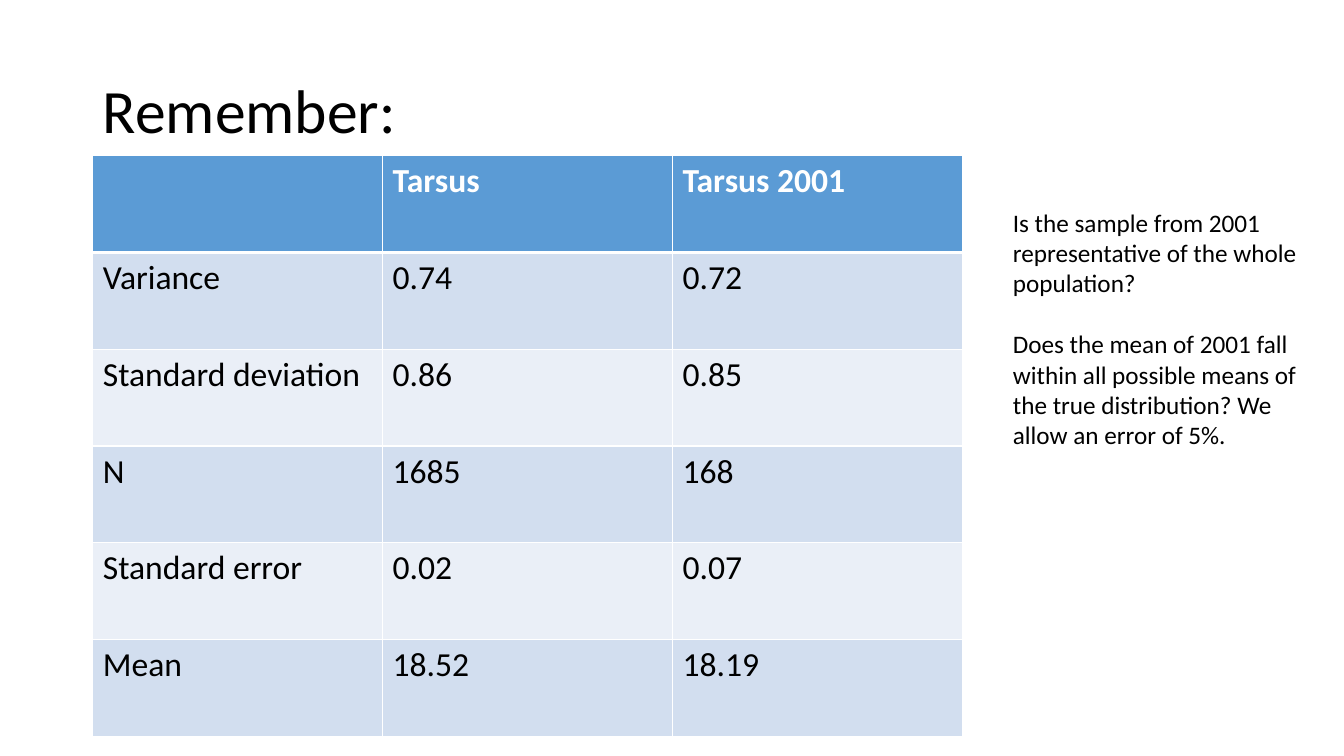
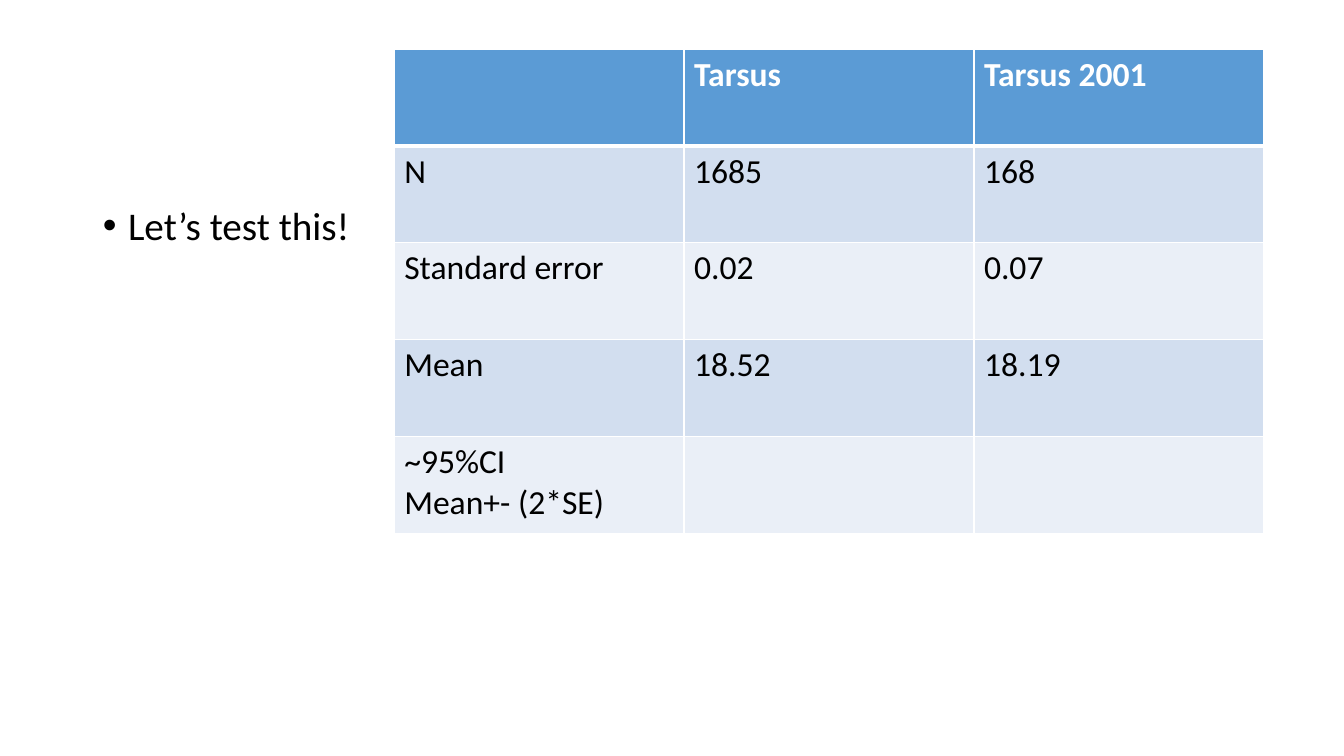
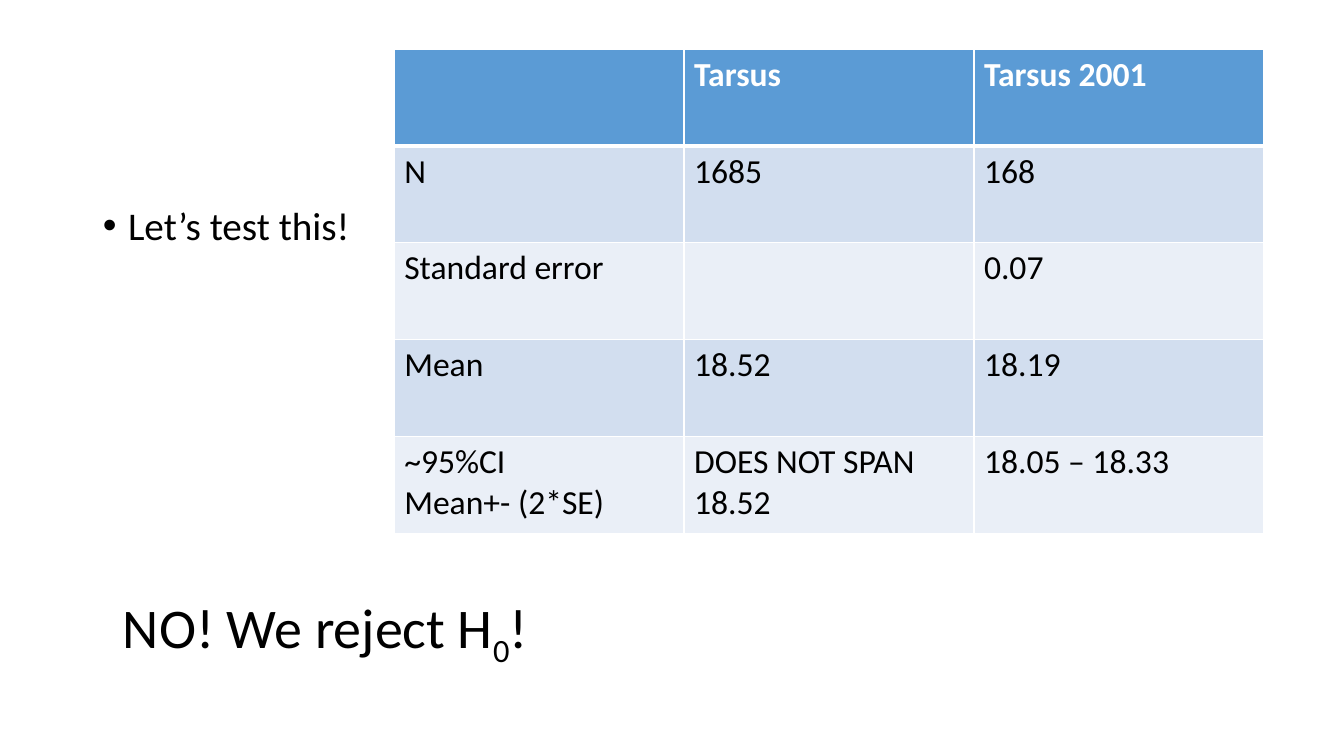
from pptx import Presentation
from pptx.dml.color import RGBColor
from pptx.enum.text import MSO_ANCHOR, MSO_AUTO_SIZE, PP_ALIGN
from pptx.oxml.ns import qn
from pptx.util import Inches, Pt
from lxml import etree

MIDDLE, TOP = MSO_ANCHOR.MIDDLE, MSO_ANCHOR.TOP
NO_FIT = MSO_AUTO_SIZE.NONE
LEFT = PP_ALIGN.LEFT

BLACK = RGBColor(0x00, 0x00, 0x00)
WHITE = RGBColor(0xFF, 0xFF, 0xFF)
BLUE = RGBColor(0x5B, 0x9B, 0xD5)
BANDS = RGBColor(0xEA, 0xEF, 0xF7), RGBColor(0xD2, 0xDE, 0xEF)
FONT = "Calibri"

# Four columns start at the margin; rows start at the top edge.
MARGIN, COL, ROW = Inches(0.92), Inches(2.875), Inches(0.96)

HEAD = ("", "Tarsus", "Tarsus 2001")
COUNT = ("N", "1685", "168")
MEAN = ("Mean", "18.52", "18.19")
ERROR = ("Standard error", "0.02", "0.07")
RANGE = "~95%CI\nMean+- (2*SE)"


def grid(col, row, wide, high):
    return (int(MARGIN + col * COL), int(row * ROW),
            int(wide * COL), int(high * ROW))


def write(frame, *paras, size=24, color=BLACK, bold=False, line=None,
          gap=0, bullet=False, anchor=TOP):
    """Fill a frame; in a tuple of runs every second one is a subscript."""
    frame.vertical_anchor = anchor
    for i, runs in enumerate(paras):
        para = frame.add_paragraph() if i else frame.paragraphs[0]
        para.alignment = LEFT
        para.space_before = Pt(gap if i else 0)
        if line:
            para.line_spacing = line
        if bullet:
            props = para._p.get_or_add_pPr()
            props.set("marL", str(Inches(0.25)))
            props.set("indent", str(-Inches(0.25)))
            etree.SubElement(props, qn("a:buChar")).set("char", "•")
        for k, text in enumerate((runs,) if isinstance(runs, str) else runs):
            run = para.add_run()
            run.text = text
            font = run.font
            font.name, font.size, font.bold = FONT, Pt(size), bold
            font.color.rgb = color
            if k % 2:
                run._r.get_or_add_rPr().set("baseline", "-25000")


def fill_holder(shape, place, *paras, **style):
    shape.left, shape.top, shape.width, shape.height = place
    shape.text_frame.auto_size = NO_FIT
    write(shape.text_frame, *paras, line=0.9, **style)


def add_text(slide, place, *paras, wrap=True, **style):
    frame = slide.shapes.add_textbox(*place).text_frame
    frame.word_wrap = wrap
    write(frame, *paras, **style)


def edge(cell, **widths):
    """Draw white cell borders; keys are the sides L, R, T and B."""
    props = cell._tc.get_or_add_tcPr()
    for side, width in widths.items():
        line = etree.SubElement(props, qn("a:ln" + side), w=str(Pt(width)))
        paint = etree.SubElement(line, qn("a:solidFill"))
        etree.SubElement(paint, qn("a:srgbClr"), val=str(WHITE))


def add_grid(slide, col, row, *body):
    rows = (HEAD, *body)
    place = grid(col, row, len(HEAD), len(rows))
    table = slide.shapes.add_table(len(rows), len(HEAD), *place).table
    for r, texts in enumerate(rows):
        table.rows[r].height = ROW
        for c, text in enumerate(texts):
            cell = table.cell(r, c)
            edge(cell, L=1, R=1, T=3 if r == 1 else 1, B=1 if r else 3)
            cell.fill.solid()
            cell.fill.fore_color.rgb = BANDS[r % 2] if r else BLUE
            if text:
                write(cell.text_frame, *text.split("\n"),
                      color=BLACK if r else WHITE, bold=r == 0)


def add_test(deck, error, span):
    """Add a slide with the call to test beside the table."""
    slide = deck.slides.add_slide(deck.slide_layouts[1])
    title, body = slide.placeholders
    title._element.getparent().remove(title._element)
    fill_holder(body, grid(0, 2.08, 1, 4.95), "Let’s test this!",
                size=28, bullet=True)
    add_grid(slide, 1.04, 0.51, COUNT, error, MEAN, span)
    return slide


def add_recap(deck):
    slide = deck.slides.add_slide(deck.slide_layouts[5])
    fill_holder(slide.shapes.title, grid(0, 0.42, 4, 1.51), "Remember:",
                size=44, anchor=MIDDLE)
    add_grid(slide, 0, 1.61,
             ("Variance", "0.74", "0.72"),
             ("Standard deviation", "0.86", "0.85"),
             COUNT, ERROR, MEAN)
    add_text(slide, grid(3.14, 2.09, 1.06, 2.62),
             "Is the sample from 2001 representative of the whole population?",
             "Does the mean of 2001 fall within all possible means of "
             "the true distribution? We allow an error of 5%.",
             size=18, gap=22)


def main():
    deck = Presentation()
    deck.slide_width, deck.slide_height = Inches(13.33), Inches(7.5)
    add_recap(deck)
    add_test(deck, ERROR, (RANGE, "", ""))
    last = add_test(deck, ("Standard error", "", "0.07"),
                    (RANGE, "DOES NOT SPAN 18.52", "18.05 – 18.33"))
    add_text(last, grid(0.07, 6.07, 1.49, 0.8),
             ("NO! We reject H", "0", "!"), size=40, wrap=False)
    deck.save("out.pptx")


if __name__ == "__main__":
    main()
